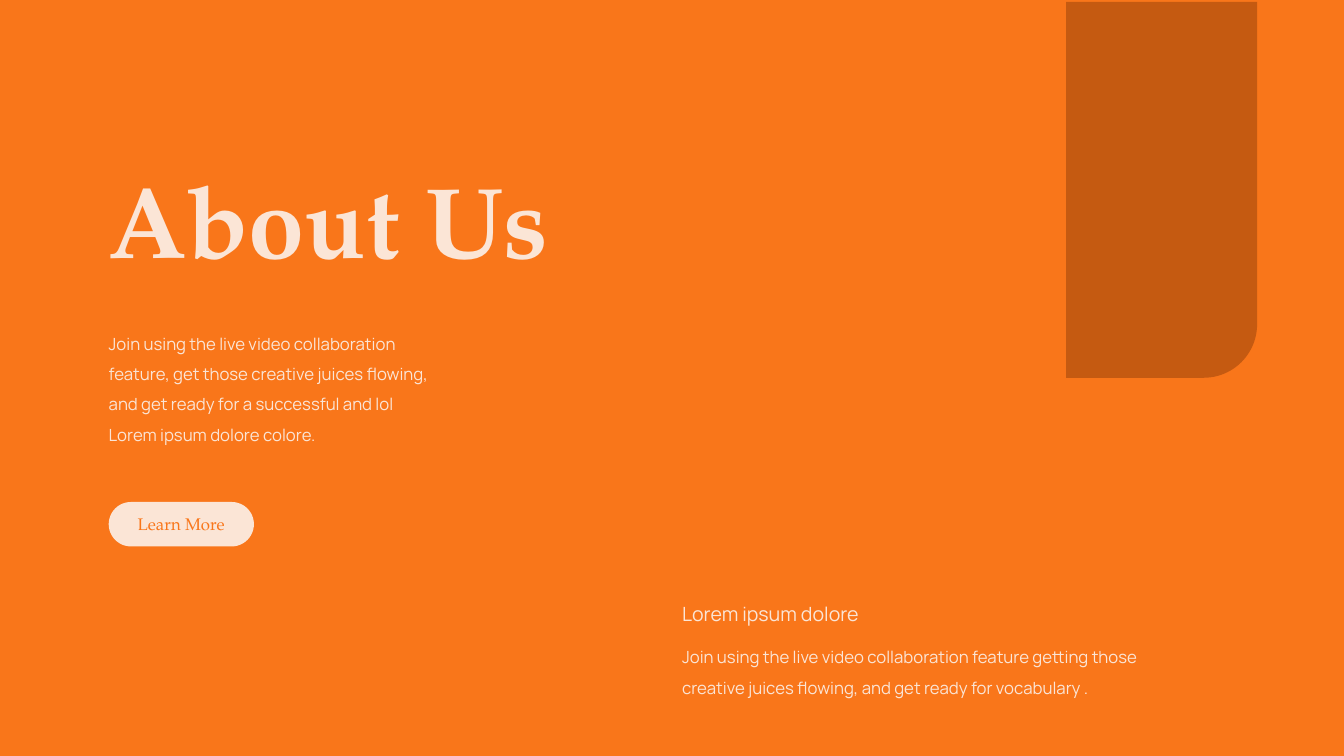
from dataclasses import dataclass

from pptx import Presentation
from pptx.dml.color import RGBColor
from pptx.enum import shapes, text
from pptx.shapes.autoshape import Shape
from pptx.slide import Slide
from pptx.text.text import TextFrame
from pptx.util import Cm, Pt


@dataclass(frozen=True)
class Theme:
    orange: str = "F9761A"
    rust: str = "C55A11"
    cream: str = "FBE5D6"
    serif: str = "TeX Gyre Pagella"
    sans: str = "Manrope"
    title_size: int = 72
    heading_size: int = 14
    body_size: int = 12


@dataclass(frozen=True)
class Area:
    left: float
    top: float
    width: float
    height: float

    def lengths(self) -> tuple[Cm, Cm, Cm, Cm]:
        return Cm(self.left), Cm(self.top), Cm(self.width), Cm(self.height)


@dataclass(frozen=True)
class TextBlock:
    area: Area
    lines: tuple[str, ...]
    size: int
    font: str
    bold: bool = False
    spacing: float = 1.0


THEME = Theme()
LEFT_COLUMN = 2.49
RIGHT_COLUMN = 16.94

BLOCKS = (
    TextBlock(Area(LEFT_COLUMN, 3.86, 12.09, 3.33), ("About Us",),
              THEME.title_size, THEME.serif, bold=True),
    TextBlock(Area(LEFT_COLUMN, 8.03, 8.66, 3.25),
              ("Join using the live video collaboration feature, get those creative "
               "juices flowing, and get ready for a successful and lol",
               "Lorem ipsum dolore colore."),
              THEME.body_size, THEME.sans, spacing=1.5),
    TextBlock(Area(RIGHT_COLUMN, 15.93, 12.78, 1.7),
              ("Join using the live video collaboration feature getting those "
               "creative juices flowing, and get ready for vocabulary .",),
              THEME.body_size, THEME.sans, spacing=1.5),
    TextBlock(Area(RIGHT_COLUMN, 15.04, 9.86, 0.86), ("Lorem ipsum dolore",),
              THEME.heading_size, THEME.sans),
)


def write_text(frame: TextFrame, lines: tuple[str, ...], *, size: int, font: str,
               color: str, bold: bool = False, spacing: float = 1.0,
               align: text.PP_ALIGN = text.PP_ALIGN.LEFT) -> None:
    frame.word_wrap = True
    for index, line in enumerate(lines):
        para = frame.add_paragraph() if index else frame.paragraphs[0]
        para.alignment = align
        para.line_spacing = spacing
        span = para.add_run()
        span.text = line
        span.font.size = Pt(size)
        span.font.name = font
        span.font.bold = bold
        span.font.color.rgb = RGBColor.from_string(color)


def add_panel(page: Slide, kind: shapes.MSO_SHAPE, area: Area, *, color: str,
              rounding: float) -> Shape:
    panel = page.shapes.add_shape(kind, *area.lengths())
    panel.adjustments[0] = rounding
    panel.shadow.inherit = False
    panel.fill.solid()
    panel.fill.fore_color.rgb = RGBColor.from_string(color)
    panel.line.fill.background()
    return panel


def add_block(page: Slide, block: TextBlock) -> None:
    box = page.shapes.add_textbox(*block.area.lengths())
    write_text(box.text_frame, block.lines, size=block.size, font=block.font,
               color=THEME.cream, bold=block.bold, spacing=block.spacing)
    box.text_frame.auto_size = text.MSO_AUTO_SIZE.SHAPE_TO_FIT_TEXT


def add_button(page: Slide) -> None:
    button = add_panel(page, shapes.MSO_SHAPE.ROUNDED_RECTANGLE,
                       Area(2.74, 12.65, 3.66, 1.12), color=THEME.cream, rounding=0.5)
    button.text_frame.vertical_anchor = text.MSO_ANCHOR.MIDDLE
    write_text(button.text_frame, ("Learn More",), size=THEME.body_size,
               font=THEME.serif, color=THEME.orange, align=text.PP_ALIGN.CENTER)


def main() -> None:
    deck = Presentation()
    deck.slide_width, deck.slide_height = Cm(33.87), Cm(19.05)
    page = deck.slides.add_slide(deck.slide_layouts[6])
    page.background.fill.solid()
    page.background.fill.fore_color.rgb = RGBColor.from_string(THEME.orange)

    banner = add_panel(page, shapes.MSO_SHAPE.ROUND_1_RECTANGLE,
                       Area(24.54, 2.38, 9.47, 4.81), color=THEME.rust, rounding=0.28)
    banner.rotation = 90

    title, intro, *details = BLOCKS
    add_block(page, title)
    add_block(page, intro)
    add_button(page)
    for detail in details:
        add_block(page, detail)
    deck.save("out.pptx")


if __name__ == "__main__":
    main()
